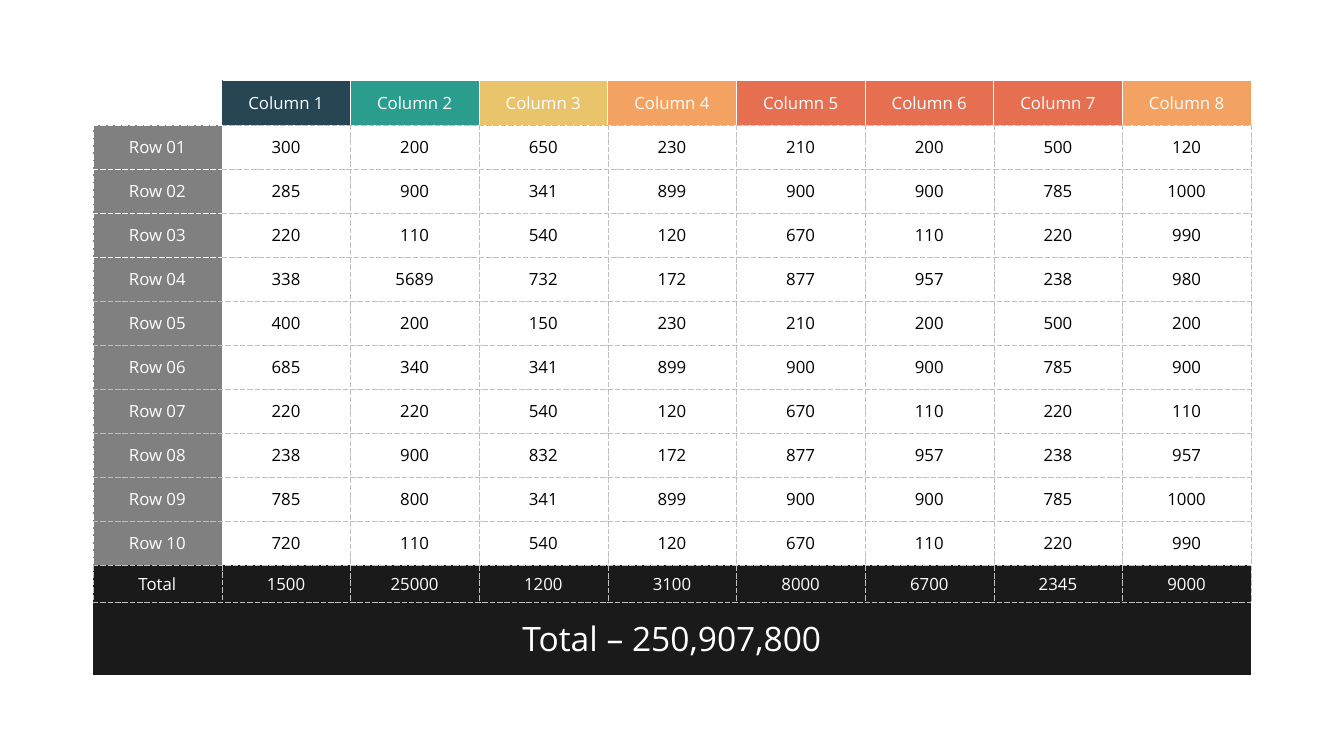
from lxml import etree
from pptx import Presentation, util as u
from pptx.dml.color import RGBColor
from pptx.enum import text
from pptx.oxml.ns import qn

WHITE = RGBColor(0xFF, 0xFF, 0xFF)
BLACK = RGBColor(0x00, 0x00, 0x00)
INK = RGBColor(0x1A, 0x1A, 0x1A)
GRAY = RGBColor(0x80, 0x80, 0x80)
RULE = RGBColor(0xBF, 0xBF, 0xBF)
NAVY = RGBColor(0x26, 0x46, 0x53)
TEAL = RGBColor(0x2A, 0x9D, 0x8F)
YELLOW = RGBColor(0xE9, 0xC4, 0x6A)
ORANGE = RGBColor(0xF4, 0xA2, 0x61)
CORAL = RGBColor(0xE7, 0x6F, 0x51)
HEADER_FILLS = [WHITE, NAVY, TEAL, YELLOW, ORANGE, CORAL, CORAL, CORAL, ORANGE]
NO_STYLE = "{2D5ABB26-0587-4C30-8999-92F81FD0307C}"

VALUES = [
    [300, 200, 650, 230, 210, 200, 500, 120],
    [285, 900, 341, 899, 900, 900, 785, 1000],
    [220, 110, 540, 120, 670, 110, 220, 990],
    [338, 5689, 732, 172, 877, 957, 238, 980],
    [400, 200, 150, 230, 210, 200, 500, 200],
    [685, 340, 341, 899, 900, 900, 785, 900],
    [220, 220, 540, 120, 670, 110, 220, 110],
    [238, 900, 832, 172, 877, 957, 238, 957],
    [785, 800, 341, 899, 900, 900, 785, 1000],
    [720, 110, 540, 120, 670, 110, 220, 990],
]
TOTALS = [1500, 25000, 1200, 3100, 8000, 6700, 2345, 9000]

rows = [[""] + [f"Column {n}" for n in range(1, 9)]]
rows += [[f"Row {n:02}"] + values for n, values in enumerate(VALUES, 1)]
rows += [["Total"] + TOTALS, ["Total – 250,907,800"] + [""] * 8]
TOTAL_ROW, GRAND_ROW = len(rows) - 2, len(rows) - 1


def add_border(cell, side, color, width, dash):
    ln = etree.SubElement(cell._tc.get_or_add_tcPr(), qn(f"a:ln{side}"), w=str(u.Pt(width)))
    fill = etree.SubElement(ln, qn("a:solidFill"))
    etree.SubElement(fill, qn("a:srgbClr"), val=str(color))
    etree.SubElement(ln, qn("a:prstDash"), val=dash)


def cell_borders(i, j):
    dashed, white_dashed, solid = (RULE, 0.25, "sysDash"), (WHITE, 0.25, "sysDash"), (WHITE, 1, "solid")
    edge = (NAVY, 0.25, "sysDash")
    if i == GRAND_ROW:
        return {"T": dashed}
    if i == 0:
        return {"L": edge if j == 1 else solid, "R": edge if j == 0 else solid,
                "T": solid, "B": white_dashed if j == 0 else dashed}
    if i < TOTAL_ROW and j == 0:
        return {"L": white_dashed, "R": white_dashed,
                "T": white_dashed if i <= 4 else dashed,
                "B": white_dashed if i <= 3 else dashed}
    left = white_dashed if i < TOTAL_ROW and j == 1 else dashed
    return {"L": left, "R": dashed, "T": dashed, "B": dashed}


prs = Presentation()
prs.slide_width, prs.slide_height = u.Inches(26.67), u.Inches(15)
s = prs.slides.add_slide(prs.slide_layouts[6])

width, height = u.Inches(22.98), u.Inches(11.8)
left, top = (prs.slide_width - width) // 2, (prs.slide_height - height) // 2
table = s.shapes.add_table(len(rows), 9, left, top, width, height).table
table.first_row = table.horz_banding = False
table._tbl.tblPr.find(qn("a:tableStyleId")).text = NO_STYLE

shares = [12] * 11 + [10, 20]
for row, share in zip(table.rows, shares):
    row.height = height * share // sum(shares)
for column in table.columns:
    column.width = width // 9

for i, values in enumerate(rows):
    for j, value in enumerate(values):
        cell = table.cell(i, j)
        for side, line in cell_borders(i, j).items():
            add_border(cell, side, *line)
        is_body = 0 < i < TOTAL_ROW and j > 0
        cell.fill.solid()
        if i == 0:
            cell.fill.fore_color.rgb = HEADER_FILLS[j]
        elif i >= TOTAL_ROW:
            cell.fill.fore_color.rgb = INK
        else:
            cell.fill.fore_color.rgb = WHITE if is_body else GRAY
        cell.vertical_anchor = text.MSO_ANCHOR.MIDDLE
        cell.margin_left = cell.margin_right = u.Inches(0.2)
        cell.margin_top = cell.margin_bottom = u.Inches(0.1)
        if value == "":
            continue
        p = cell.text_frame.paragraphs[0]
        p.alignment = text.PP_ALIGN.CENTER
        r = p.add_run()
        r.text = str(value)
        r.font.name = "Open Sans"
        r.font.size = u.Pt(48 if i == GRAND_ROW else 24)
        r.font.color.rgb = BLACK if is_body else WHITE

table.cell(GRAND_ROW, 0).merge(table.cell(GRAND_ROW, 8))

prs.save("out.pptx")
